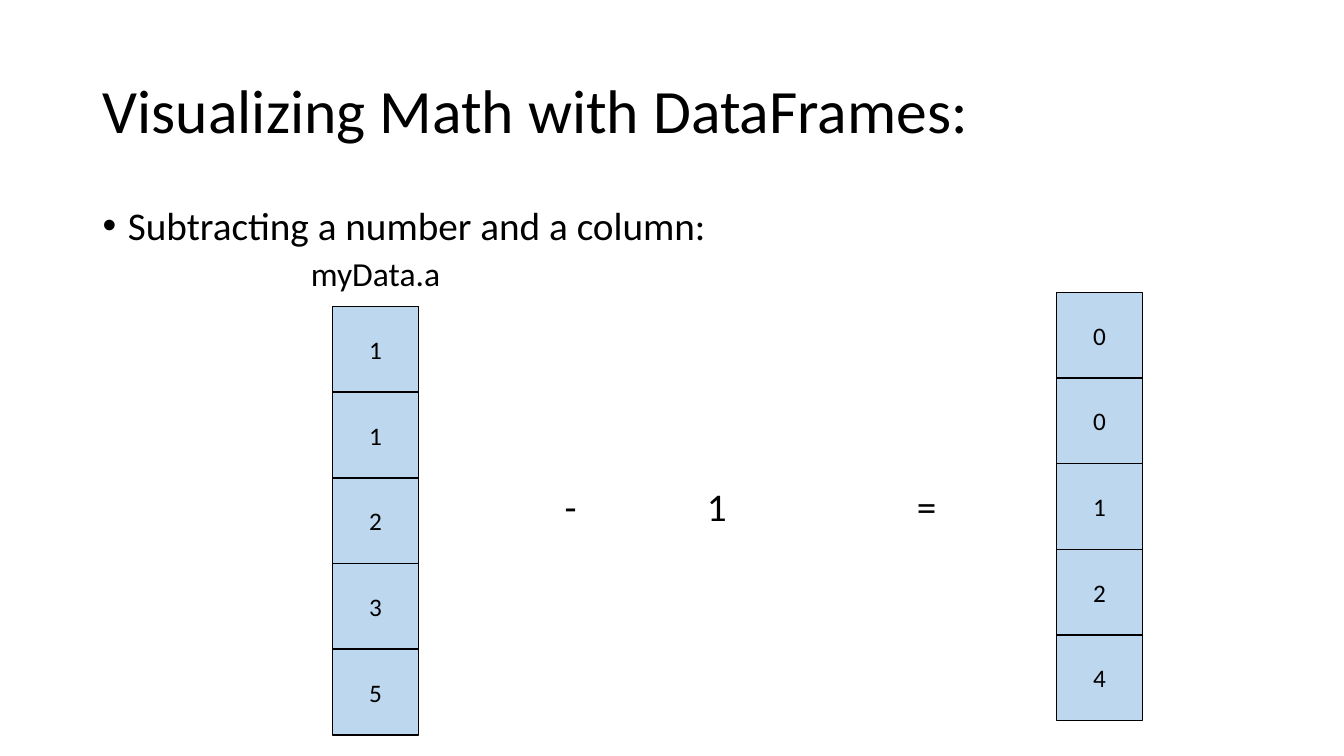
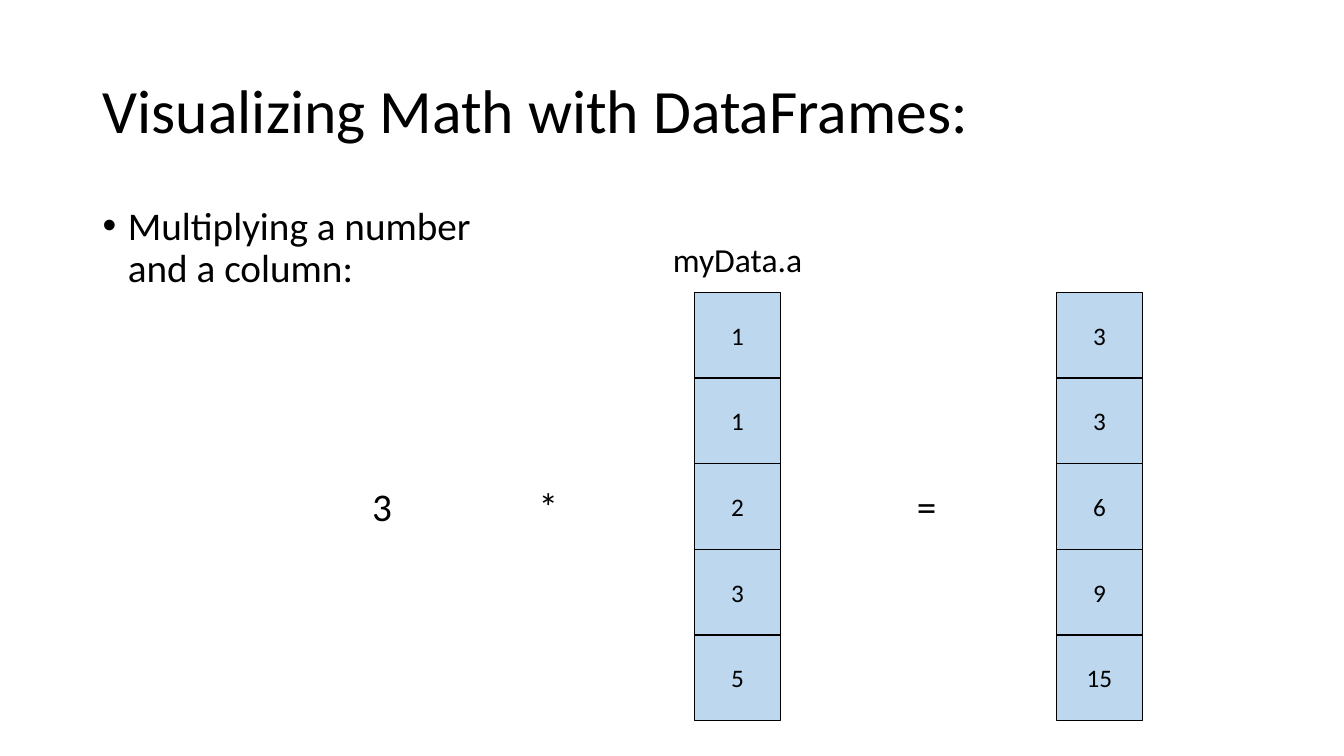
"""Build two slides that show arithmetic between a number and a DataFrame column."""
from lxml import etree
from pptx import Presentation
from pptx import util as u
from pptx.dml import color
from pptx.enum import shapes, text
from pptx.oxml import ns

COLORS = {"ink": "000000", "cell": "BDD7EE"}
FONT = "Calibri"
TITLE = "Visualizing Math with DataFrames:"
CELL = 0.85
SYMBOL_TOP, SYMBOL_WIDTH, SYMBOL_HEIGHT = 4.74, 0.4, 0.57
LABEL_WIDTH, LABEL_HEIGHT, LABEL_RISE = 1.5, 0.5, 0.58

SLIDES = [
    {
        "bullet": "Subtracting a number and a column:",
        "bullet_width": 11.5,
        "columns": [
            {"label": "myData.a", "left": 3.3, "top": 3.04, "values": [1, 1, 2, 3, 5]},
            {"label": None, "left": 10.48, "top": 2.9, "values": [0, 0, 1, 2, 4]},
        ],
        "symbols": [("-", 5.66), ("1", 7.11), ("=", 9.19)],
    },
    {
        "bullet": "Multiplying a number and a column:",
        "bullet_width": 3.91,
        "columns": [
            {"label": "myData.a", "left": 6.89, "top": 2.9, "values": [1, 1, 2, 3, 5]},
            {"label": None, "left": 10.48, "top": 2.9, "values": [3, 3, 6, 9, 15]},
        ],
        "symbols": [("3", 3.79), ("*", 5.44), ("=", 9.19)],
    },
]


def rgb(name):
    return color.RGBColor.from_string(COLORS[name])


def write(shape, words, size, align, anchor=text.MSO_ANCHOR.TOP, wrap=True):
    frame = shape.text_frame
    frame.auto_size = text.MSO_AUTO_SIZE.NONE
    frame.word_wrap = wrap
    frame.vertical_anchor = anchor
    paragraph = frame.paragraphs[0]
    paragraph.alignment = align
    run = paragraph.add_run()
    run.text = words
    run.font.name = FONT
    run.font.size = u.Pt(size)
    run.font.color.rgb = rgb("ink")
    return paragraph


def add_title(slide):
    title = slide.shapes.title
    title.left, title.top = u.Inches(0.92), u.Inches(0.4)
    title.width, title.height = u.Inches(11.5), u.Inches(1.45)
    paragraph = write(title, TITLE, 44, text.PP_ALIGN.LEFT, text.MSO_ANCHOR.MIDDLE)
    paragraph.line_spacing = 0.9


def add_bullet(slide, words, width):
    box = slide.shapes.add_textbox(u.Inches(0.92), u.Inches(2), u.Inches(width), u.Inches(4.76))
    paragraph = write(box, words, 28, text.PP_ALIGN.LEFT)
    paragraph.line_spacing = 0.9
    paragraph.space_before = u.Pt(10)
    properties = paragraph._p.get_or_add_pPr()
    properties.set("marL", str(u.Inches(0.25)))
    properties.set("indent", str(u.Inches(-0.25)))
    etree.SubElement(properties, ns.qn("a:buFont"), typeface="Arial")
    etree.SubElement(properties, ns.qn("a:buChar"), char="•")


def add_centered_text(slide, words, size, center, top, width, height):
    box = slide.shapes.add_textbox(
        u.Inches(center - width / 2), u.Inches(top), u.Inches(width), u.Inches(height)
    )
    write(box, words, size, text.PP_ALIGN.CENTER, wrap=False)


def add_column(slide, label, left, top, values):
    for row, value in enumerate(values):
        cell = slide.shapes.add_shape(
            shapes.MSO_SHAPE.FLOWCHART_PROCESS,
            u.Inches(left), u.Inches(top + row * CELL), u.Inches(CELL), u.Inches(CELL),
        )
        cell.shadow.inherit = False
        cell.fill.solid()
        cell.fill.fore_color.rgb = rgb("cell")
        cell.line.color.rgb = rgb("ink")
        cell.line.width = u.Pt(1)
        write(cell, str(value), 18, text.PP_ALIGN.CENTER, text.MSO_ANCHOR.MIDDLE)
    if label:
        add_centered_text(
            slide, label, 24, left + CELL / 2, top - LABEL_RISE, LABEL_WIDTH, LABEL_HEIGHT
        )


def main():
    presentation = Presentation()
    presentation.slide_width = u.Inches(13.33)
    presentation.slide_height = u.Inches(7.5)
    title_only = presentation.slide_layouts.get_by_name("Title Only")
    for content in SLIDES:
        slide = presentation.slides.add_slide(title_only)
        add_title(slide)
        add_bullet(slide, content["bullet"], content["bullet_width"])
        for column in content["columns"]:
            add_column(slide, **column)
        for symbol, center in content["symbols"]:
            add_centered_text(slide, symbol, 28, center, SYMBOL_TOP, SYMBOL_WIDTH, SYMBOL_HEIGHT)
    presentation.save("out.pptx")


if __name__ == "__main__":
    main()
